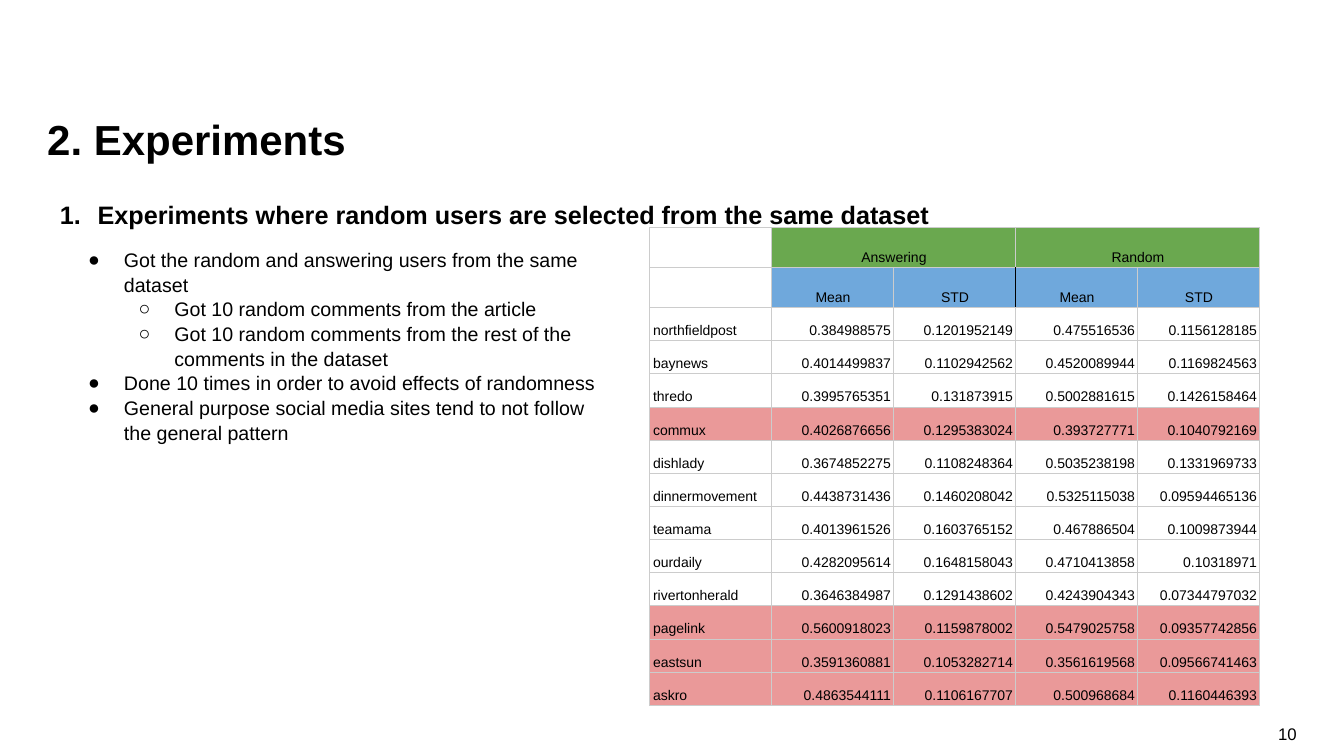
from dataclasses import dataclass

from lxml.etree import SubElement
from pptx import Presentation
from pptx.dml.color import RGBColor
from pptx.enum.text import MSO_ANCHOR, PP_ALIGN
from pptx.oxml import parse_xml
from pptx.oxml.ns import nsdecls, qn
from pptx.util import Pt

EMU_PER_PX = 9525


@dataclass(frozen=True)
class Theme:
    font: str = "Arial"
    text: str = "000000"
    border: str = "CCCCCC"
    divider: str = "000000"
    group_fill: str = "6AA84F"
    measure_fill: str = "6FA8DC"
    highlight_fill: str = "EA9999"
    title_size: int = 30
    heading_size: int = 18
    body_size: int = 14
    number_size: int = 12
    table_size: int = 10
    border_width: float = 0.75


THEME = Theme()

POINTS = [
    (0, "Got the random and answering users from the same dataset"),
    (1, "Got 10 random comments from the article"),
    (1, "Got 10 random comments from the rest of the comments in the dataset"),
    (0, "Done 10 times in order to avoid effects of randomness"),
    (0, "General purpose social media sites tend to not follow the general pattern"),
]
GROUPS = ["", "Answering", "", "Random", ""]
MEASURES = ["", "Mean", "STD", "Mean", "STD"]
RESULTS = [
    ["northfieldpost", "0.384988575", "0.1201952149", "0.475516536", "0.1156128185"],
    ["baynews", "0.4014499837", "0.1102942562", "0.4520089944", "0.1169824563"],
    ["thredo", "0.3995765351", "0.131873915", "0.5002881615", "0.1426158464"],
    ["commux", "0.4026876656", "0.1295383024", "0.393727771", "0.1040792169"],
    ["dishlady", "0.3674852275", "0.1108248364", "0.5035238198", "0.1331969733"],
    ["dinnermovement", "0.4438731436", "0.1460208042", "0.5325115038", "0.09594465136"],
    ["teamama", "0.4013961526", "0.1603765152", "0.467886504", "0.1009873944"],
    ["ourdaily", "0.4282095614", "0.1648158043", "0.4710413858", "0.10318971"],
    ["rivertonherald", "0.3646384987", "0.1291438602", "0.4243904343", "0.07344797032"],
    ["pagelink", "0.5600918023", "0.1159878002", "0.5479025758", "0.09357742856"],
    ["eastsun", "0.3591360881", "0.1053282714", "0.3561619568", "0.09566741463"],
    ["askro", "0.4863544111", "0.1106167707", "0.500968684", "0.1160446393"],
]
HIGHLIGHTED = {"commux", "pagelink", "eastsun", "askro"}


def px(value):
    return round(value * EMU_PER_PX)


def style_paragraph(paragraph, size, bold=False, align=PP_ALIGN.LEFT, spacing=1.0):
    paragraph.alignment = align
    paragraph.line_spacing = spacing
    font = paragraph.font
    font.name = THEME.font
    font.size = Pt(size)
    font.bold = bold
    font.color.rgb = RGBColor.from_string(THEME.text)


def add_bullet(paragraph, indent, hanging, tag, **marker):
    properties = paragraph._p.get_or_add_pPr()
    properties.set("marL", str(px(indent)))
    properties.set("indent", str(-px(hanging)))
    color = SubElement(properties, qn("a:buClr"))
    SubElement(color, qn("a:srgbClr"), val=THEME.text)
    SubElement(properties, qn("a:buFont"), typeface=THEME.font)
    SubElement(properties, qn(tag), **marker)


def add_text_frame(slide, left, top, width, height, margin_x=0, margin_y=0):
    shape = slide.shapes.add_textbox(px(left), px(top), px(width), px(height))
    frame = shape.text_frame
    frame.word_wrap = True
    frame.margin_left = frame.margin_right = px(margin_x)
    frame.margin_top = frame.margin_bottom = px(margin_y)
    return frame


def add_title(slide):
    paragraph = add_text_frame(slide, 45, 105, 1191, 43).paragraphs[0]
    paragraph.text = "2. Experiments"
    style_paragraph(paragraph, THEME.title_size, bold=True, spacing=1.06)


def add_heading(slide):
    paragraph = add_text_frame(slide, 45, 186, 1117, 493).paragraphs[0]
    paragraph.text = "Experiments where random users are selected from the same dataset"
    add_bullet(paragraph, 48, 36, "a:buAutoNum", type="arabicPeriod")
    style_paragraph(paragraph, THEME.heading_size, bold=True, spacing=1.14)


def add_points(slide):
    frame = add_text_frame(slide, 60, 225, 538, 435, 10, 10)
    for index, (level, text) in enumerate(POINTS):
        paragraph = frame.add_paragraph() if index else frame.paragraphs[0]
        paragraph.text = text
        paragraph.level = level
        add_bullet(paragraph, 48 * (level + 1), 34, "a:buChar", char="●○"[level])
        style_paragraph(paragraph, THEME.body_size, spacing=1.05)


def add_slide_number(slide):
    frame = add_text_frame(slide, 948, 680, 287, 38, 0, 5)
    frame.vertical_anchor = MSO_ANCHOR.MIDDLE
    frame.paragraphs[0].text = "10"
    style_paragraph(frame.paragraphs[0], THEME.number_size, align=PP_ALIGN.RIGHT)


def set_borders(cell, divided_side=None):
    properties = cell._tc.get_or_add_tcPr()
    for position, side in enumerate("LRTB"):
        color = THEME.divider if side == divided_side else THEME.border
        properties.insert(position, parse_xml(
            f'<a:ln{side} {nsdecls("a")} w="{Pt(THEME.border_width)}">'
            f'<a:solidFill><a:srgbClr val="{color}"/></a:solidFill></a:ln{side}>'
        ))


def fill_cell(cell, text, fill, align, divided_side):
    cell.margin_left = cell.margin_right = px(3)
    cell.margin_top = cell.margin_bottom = px(2)
    cell.vertical_anchor = MSO_ANCHOR.BOTTOM
    if fill:
        cell.fill.solid()
        cell.fill.fore_color.rgb = RGBColor.from_string(fill)
    else:
        cell.fill.background()
    set_borders(cell, divided_side)
    paragraph = cell.text_frame.paragraphs[0]
    paragraph.text = text
    style_paragraph(paragraph, THEME.table_size, align=align, spacing=1.15)


def row_fill(row, column):
    if row < 2:
        return (THEME.group_fill, THEME.measure_fill)[row] if column else None
    return THEME.highlight_fill if RESULTS[row - 2][0] in HIGHLIGHTED else None


def add_results_table(slide):
    rows = [GROUPS, MEASURES, *RESULTS]
    width, height, header_height = 581, 455, 38
    table = slide.shapes.add_table(
        len(rows), len(GROUPS), px(619), px(217), px(width), px(height)
    ).table
    table.first_row = table.horz_banding = False
    for column in table.columns:
        column.width = px(width / len(GROUPS))
    body_height = (height - 2 * header_height) / len(RESULTS)
    dividers = {(1, 2): "R", (1, 3): "L"}
    for row, values in enumerate(rows):
        table.rows[row].height = px(header_height if row < 2 else body_height)
        for column, text in enumerate(values):
            value_align = PP_ALIGN.CENTER if row < 2 else PP_ALIGN.RIGHT
            align = value_align if column else PP_ALIGN.LEFT
            fill_cell(table.cell(row, column), text, row_fill(row, column), align,
                      dividers.get((row, column)))
    for column in (1, 3):
        table.cell(0, column).merge(table.cell(0, column + 1))


def main():
    presentation = Presentation()
    presentation.slide_width = px(1280)
    presentation.slide_height = px(720)
    slide = presentation.slides.add_slide(presentation.slide_layouts[6])
    add_slide_number(slide)
    add_title(slide)
    add_heading(slide)
    add_results_table(slide)
    add_points(slide)
    presentation.save("out.pptx")


if __name__ == "__main__":
    main()
